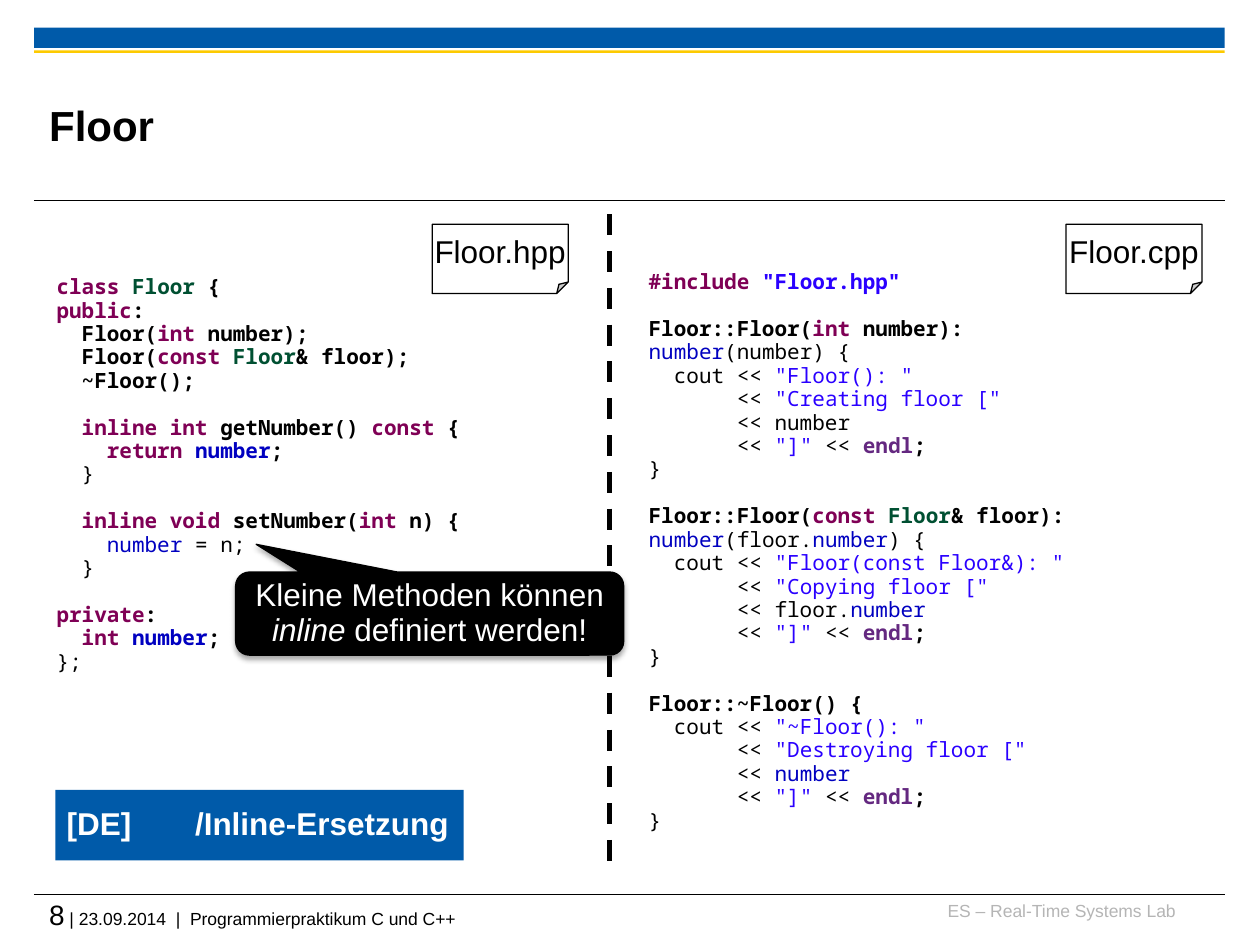
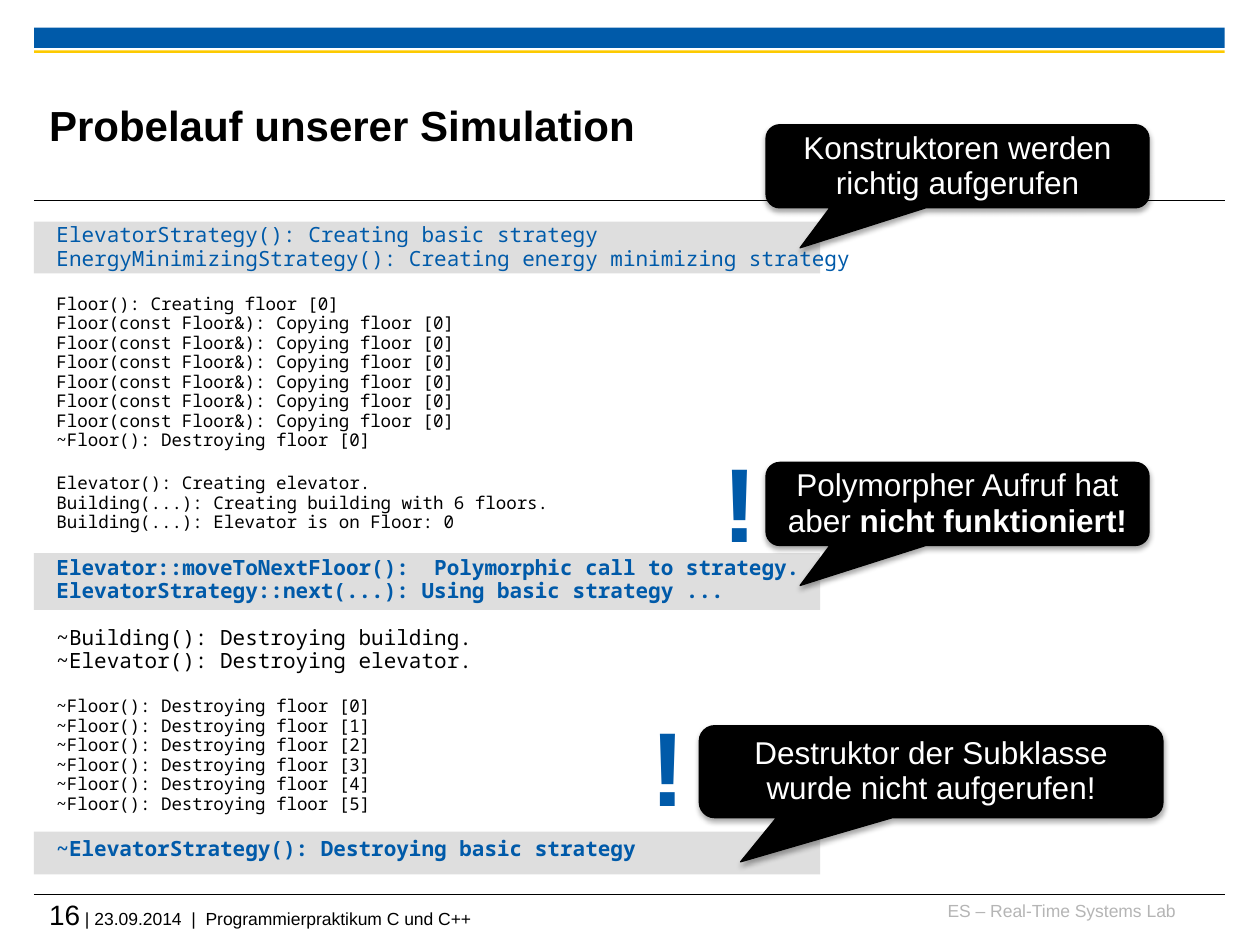
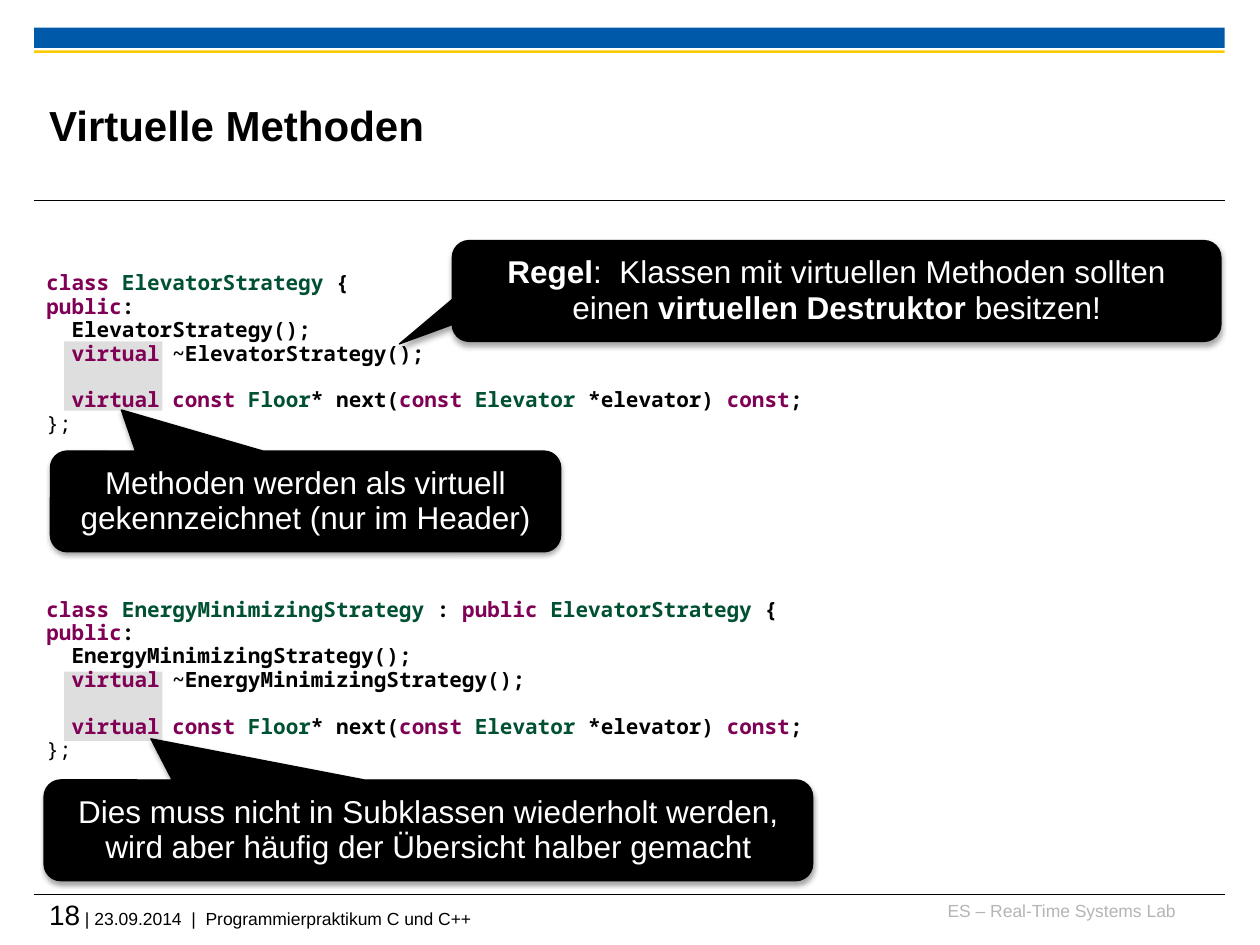
import pptx
import pptx.util
import pptx.dml.color
import pptx.enum.dml
import pptx.enum.shapes
import pptx.enum.text
import pptx.oxml
import pptx.oxml.ns

Inches, Pt = pptx.util.Inches, pptx.util.Pt
SHAPE = pptx.enum.shapes.MSO_SHAPE
ALIGN = pptx.enum.text.PP_ALIGN
MIDDLE = pptx.enum.text.MSO_ANCHOR.MIDDLE

BLUE, YELLOW, BLACK, WHITE = "005AA9", "FDCA00", "000000", "FFFFFF"
GRAY, HIGHLIGHT = "B5B5B5", "BFBFBF"
MONO = "Noto Sans Mono"
LINE_SPACING = 0.93
BLANK_LINE = 13.4

CODE_STYLES = {
    "kw": {"color": "7F0055", "bold": True},
    "type": {"color": "005032", "bold": True},
    "bold": {"bold": True},
    "text": {},
    "field": {"color": "0000C0"},
    "fieldb": {"color": "0000C0", "bold": True},
    "str": {"color": "2A00FF"},
    "strb": {"color": "2A00FF", "bold": True},
    "lib": {"color": "642880", "bold": True},
}

FLOOR_HPP = [
    "kw@class |type@Floor|bold@ {",
    "kw@public|bold@:",
    "bold@  Floor(|kw@int |bold@number);",
    "bold@  Floor(|kw@const |type@Floor|bold@& floor);",
    "bold@  ~Floor();",
    "",
    "kw@  inline int |bold@getNumber() |kw@const|bold@ {",
    "kw@    return |fieldb@number|bold@;",
    "text@  }",
    "",
    "kw@  inline void |bold@setNumber(|kw@int|bold@ n) {",
    "field@    number|text@ = n;",
    "text@  }",
    "",
    "kw@private|bold@:",
    "kw@  int |fieldb@number|bold@;",
    "text@};",
]

END_OF_OUTPUT = 'text@       << |str@"]"|text@ << |lib@endl|bold@;'

FLOOR_CPP = [
    'kw@#include |strb@"Floor.hpp"',
    "",
    "bold@Floor::Floor(|kw@int |bold@number):",
    "field@number|text@(number) {",
    'text@  cout << |str@"Floor(): "',
    'text@       << |str@"Creating floor ["',
    "text@       << number",
    END_OF_OUTPUT,
    "text@}",
    "",
    "bold@Floor::Floor(|kw@const |type@Floor|bold@& floor):",
    "field@number|text@(floor.|field@number|text@) {",
    'text@  cout << |str@"Floor(const Floor&): "',
    'text@       << |str@"Copying floor ["',
    "text@       << floor.|field@number",
    END_OF_OUTPUT,
    "text@}",
    "",
    "bold@Floor::~Floor() {",
    'text@  cout << |str@"~Floor(): "',
    'text@       << |str@"Destroying floor ["',
    "text@       << |field@number",
    END_OF_OUTPUT,
    "text@}",
]


def strategy_class(name, base=""):
    return [
        f"kw@class |type@{name}{base}|bold@ {{",
        "kw@public|bold@:",
        f"bold@  {name}();",
        f"kw@  virtual|bold@ ~{name}();",
        "",
        "kw@  virtual const |type@Floor|bold@* next(|kw@const |type@Elevator "
        "|bold@*elevator) |kw@const|bold@;",
        "text@};",
    ]


PLAIN = {"size": 12}
SMALL = {"size": 10}
KEY = {"size": 12, "color": BLUE}
KEY_BOLD = {**KEY, "bold": True}
LOG = [
    (KEY, ["ElevatorStrategy(): Creating basic strategy",
           "EnergyMinimizingStrategy(): Creating energy minimizing strategy"]),
    (SMALL, ["Floor(): Creating floor [0]",
             *["Floor(const Floor&): Copying floor [0]"] * 6,
             "~Floor(): Destroying floor [0]"]),
    (SMALL, ["Elevator(): Creating elevator.",
             "Building(...): Creating building with 6 floors.",
             "Building(...): Elevator is on Floor: 0"]),
    (KEY_BOLD, ["Elevator::moveToNextFloor():  Polymorphic call to strategy.",
                "ElevatorStrategy::next(...): Using basic strategy ..."]),
    (PLAIN, ["~Building(): Destroying building.",
             "~Elevator(): Destroying elevator."]),
    (SMALL, [f"~Floor(): Destroying floor [{i}]" for i in range(6)]),
    (KEY_BOLD, ["~ElevatorStrategy(): Destroying basic strategy"]),
]
LOG_BANDS = [(1.76, 0.41), (4.39, 0.45), (6.6, 0.34)]

BOLD, ITALIC = {"bold": True}, {"italic": True}
INLINE_NOTE = [("Kleine Methoden können ", {}), ("inline", ITALIC),
               (" definiert werden!", {})]
LOG_NOTES = [
    ((6.08, 0.99, 3.04, 0.66), [("Konstruktoren werden richtig aufgerufen", {})]),
    ((6.08, 3.67, 3.04, 0.66), [("Polymorpher Aufruf hat aber ", {}),
                                ("nicht funktioniert!", BOLD)]),
    ((5.55, 5.76, 3.68, 0.73),
     [("Destruktor der Subklasse wurde nicht aufgerufen!", {})]),
]
WARNINGS = [(5.63, 3.51), (5.06, 5.61)]
VIRTUAL_NOTES = [
    ((0.4, 3.58, 4.05, 0.8), (-0.361, -0.908),
     [("Methoden werden als virtuell gekennzeichnet (nur im Header)", {})]),
    ((0.35, 6.19, 6.1, 0.8), (-0.361, -0.908),
     [("Dies muss nicht in Subklassen wiederholt werden, "
       "wird aber häufig der Übersicht halber gemacht", {})]),
    ((3.59, 1.91, 6.1, 0.8), (-0.569, 0.526),
     [("Regel", BOLD), (":  Klassen mit virtuellen Methoden sollten einen ", {}),
      ("virtuellen Destruktor", BOLD), (" besitzen!", {})]),
]


def rgb(color):
    return pptx.dml.color.RGBColor.from_string(color)


def xml(text):
    return pptx.oxml.parse_xml(
        text.replace(" ", f" {pptx.oxml.ns.nsdecls('a')} ", 1))


def add_run(p, text, size=18, font="Arial", color=BLACK, bold=False, italic=False):
    r = p.add_run()
    r.text = text
    r.font.size, r.font.name = Pt(size), font
    r.font.bold, r.font.italic = bold, italic
    r.font.color.rgb = rgb(color)


def write(tf, lines, align=ALIGN.LEFT, spacing=LINE_SPACING, wrap=True, **base):
    tf.word_wrap = wrap
    p, gap = None, False
    for line in lines:
        if not line:
            gap = True
            continue
        p = tf.paragraphs[0] if p is None else tf.add_paragraph()
        p.alignment, p.line_spacing = align, spacing
        if gap:
            p.space_before = Pt(BLANK_LINE)
            gap = False
        for text, fmt in line:
            add_run(p, text, **{**base, **fmt})


def no_margins(tf):
    tf.margin_left = tf.margin_top = tf.margin_right = tf.margin_bottom = 0


def add_text(s, box, lines, **fmt):
    sp = s.shapes.add_textbox(*map(Inches, box))
    write(sp.text_frame, lines, **fmt)
    return sp


def add_box(s, kind, box, fill, line=None, alpha=None):
    sp = s.shapes.add_shape(kind, *map(Inches, box))
    sp.shadow.inherit = False
    sp.fill.solid()
    sp.fill.fore_color.rgb = rgb(fill)
    if alpha:
        clr = sp.fill._xPr.find(".//" + pptx.oxml.ns.qn("a:srgbClr"))
        clr.append(xml(f'<a:alpha val="{alpha * 1000}"/>'))
    if line:
        sp.line.color.rgb = rgb(line)
        sp.line.width = Pt(0.75)
    else:
        sp.line.fill.background()
    return sp


def add_line(s, x1, y1, x2, y2, width, dash=None):
    c = s.shapes.add_connector(pptx.enum.shapes.MSO_CONNECTOR.STRAIGHT,
                               *map(Inches, (x1, y1, x2, y2)))
    c.line.color.rgb = rgb(BLACK)
    c.line.width = Pt(width)
    if dash:
        c.line.dash_style = dash
    c._element.spPr.append(xml("<a:effectLst />"))


def add_callout(s, box, tip, text):
    sp = add_box(s, SHAPE.ROUNDED_RECTANGULAR_CALLOUT, box, BLACK, BLACK)
    sp.adjustments[0], sp.adjustments[1] = tip
    sp._element.spPr.find(pptx.oxml.ns.qn("a:effectLst")).append(xml(
        f'<a:outerShdw blurRad="{Pt(3.1)}" dist="{Pt(1.8)}" dir="5400000" '
        'rotWithShape="0"><a:srgbClr val="000000"><a:alpha val="35000"/>'
        '</a:srgbClr></a:outerShdw>'))
    sp.text_frame.vertical_anchor = MIDDLE
    write(sp.text_frame, [text], align=ALIGN.CENTER, color=WHITE)


def add_code(s, box, code):
    lines = []
    for line in code:
        parts = [part.split("@") for part in line.split("|") if part]
        lines.append([(text, CODE_STYLES[style]) for style, text in parts])
    add_text(s, box, lines, size=12, font=MONO)


def add_slide(prs, title, number):
    s = prs.slides.add_slide(prs.slide_layouts[5])
    add_box(s, SHAPE.RECTANGLE, (0.27, 0.22, 9.45, 0.16), BLUE)
    add_box(s, SHAPE.RECTANGLE, (0.27, 0.4, 9.45, 0.02), YELLOW)
    for y in (1.59, 7.1):
        add_line(s, 0.27, y, 9.72, y, 0.6)
    sp = s.shapes.title
    sp.left, sp.top, sp.width, sp.height = map(Inches, (0.39, 0.53, 7.52, 0.92))
    tf = sp.text_frame
    tf.auto_size = pptx.enum.text.MSO_AUTO_SIZE.NONE
    tf.vertical_anchor = MIDDLE
    no_margins(tf)
    write(tf, [[(title, {})]], spacing=1, size=24, bold=True)
    lab = add_text(s, (7.36, 7.14, 1.97, 0.25), [[("ES – Real-Time Systems Lab", {})]],
                   align=ALIGN.RIGHT, spacing=1, size=10, color=GRAY)
    footer = add_text(s, (0.39, 7.12, 6.9, 0.33),
                      [[(str(number), {"size": 16}),
                        (" | 23.09.2014  |  Programmierpraktikum C und C++", {})]],
                      spacing=1, size=10)
    for sp in (lab, footer):
        no_margins(sp.text_frame)
    return s


def floor_slide(prs):
    s = add_slide(prs, "Floor", 8)
    add_line(s, 4.84, 1.7, 4.84, 6.95, 3, pptx.enum.dml.MSO_LINE.DASH)
    add_code(s, (0.35, 2.14, 4.41, 3.29), FLOOR_HPP)
    add_code(s, (5.05, 2.1, 4.9, 4.61), FLOOR_CPP)
    add_callout(s, (1.87, 4.54, 3.08, 0.66), (-0.447, -0.833), INLINE_NOTE)
    for x, name in ((3.43, "Floor.hpp"), (8.46, "Floor.cpp")):
        sp = add_box(s, SHAPE.FOLDED_CORNER, (x, 1.78, 1.08, 0.55), WHITE, BLACK)
        sp.text_frame.vertical_anchor = MIDDLE
        write(sp.text_frame, [[(name, {})]], align=ALIGN.CENTER, wrap=False)
    add_box(s, SHAPE.RECTANGLE, (0.44, 6.27, 3.24, 0.56), BLUE)
    for x, w, label in ((0.43, 0.72, "[DE]"), (1.45, 2.24, "/Inline-Ersetzung")):
        add_text(s, (x, 6.36, w, 0.38), [[(label, {})]],
                 wrap=False, color=WHITE, bold=True)


def log_slide(prs):
    s = add_slide(prs, "Probelauf unserer Simulation", 16)
    for y, h in LOG_BANDS:
        add_box(s, SHAPE.RECTANGLE, (0.27, y, 6.24, h), HIGHLIGHT, alpha=50)
    lines = []
    for fmt, group in LOG:
        lines += [[(text, fmt)] for text in group] + [[]]
    add_text(s, (0.35, 1.73, 7.24, 5.2), lines, font=MONO)
    for box, text in LOG_NOTES:
        add_callout(s, box, (-0.411, 0.981), text)
    for x, y in WARNINGS:
        add_text(s, (x, y, 0.48, 1.04), [[("!", {})]], align=ALIGN.CENTER,
                 wrap=False, size=60, color=BLUE, bold=True)


def virtual_slide(prs):
    s = add_slide(prs, "Virtuelle Methoden", 18)
    for y in (2.71, 5.33):
        add_box(s, SHAPE.RECTANGLE, (0.51, y, 0.78, 0.55), HIGHLIGHT, alpha=50)
    add_code(s, (0.27, 2.11, 7.3, 1.42), strategy_class("ElevatorStrategy"))
    add_code(s, (0.27, 4.7, 7.3, 1.42),
             strategy_class("EnergyMinimizingStrategy",
                            "|bold@ : |kw@public |type@ElevatorStrategy"))
    for box, tip, text in VIRTUAL_NOTES:
        add_callout(s, box, tip, text)


def main():
    prs = pptx.Presentation()
    prs.slide_width, prs.slide_height = Inches(10), Inches(7.5)
    floor_slide(prs)
    log_slide(prs)
    virtual_slide(prs)
    prs.save("out.pptx")


if __name__ == "__main__":
    main()
